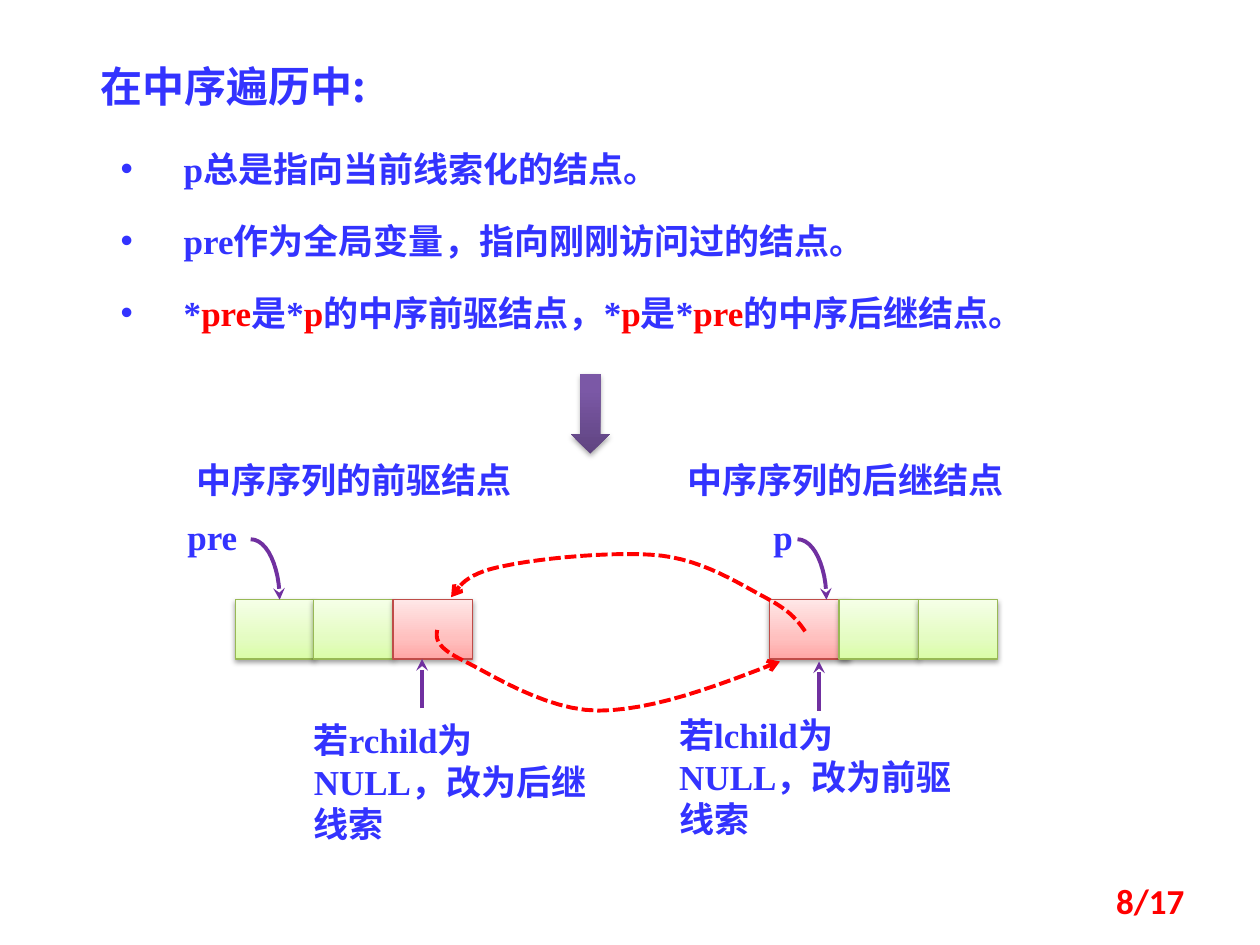
"""Build the slide on pre and p during in-order threading."""
import copy

import pptx
import pptx.dml.color
import pptx.enum.dml
import pptx.enum.shapes
import pptx.enum.text
import pptx.oxml
import pptx.oxml.ns
import pptx.util

Inches = pptx.util.Inches
Pt = pptx.util.Pt
ALIGN = pptx.enum.text.PP_ALIGN
ANCHOR = pptx.enum.text.MSO_ANCHOR
SHAPE = pptx.enum.shapes.MSO_SHAPE
NAMESPACE = pptx.oxml.ns.nsdecls("a")
CJK_FONT = "Noto Sans CJK SC"

COLORS = {"blue": "3333FF", "red": "FF0000", "purple": "7030A0",
          "green_line": "98B955", "pink_line": "BF4C48"}
GRADIENTS = {
    "green": [(0, "DAFDA7"), (0.35, "E4FCC2"), (1, "F5FFE7")],
    "pink": [(0, "FFA6A5"), (0.35, "FFC0BF"), (1, "FFE7E7")],
    "purple": [(0, "5F4480"), (0.8, "7B58A6"), (1, "7C57A8")],
}

TITLE = "在中序遍历中:"
BULLETS = [
    [("p总是指向当前线索化的结点。", "blue")],
    [("pre作为全局变量，指向刚刚访问过的结点。", "blue")],
    [("*", "blue"), ("pre", "red"), ("是*", "blue"), ("p", "red"),
     ("的中序前驱结点，*", "blue"), ("p", "red"), ("是*", "blue"),
     ("pre", "red"), ("的中序后继结点。", "blue")],
]
NODES = [
    {"heading": "中序序列的前驱结点", "heading_left": 1.46,
     "cells": [(1.87, "green"), (2.49, "green"), (3.12, "pink")],
     "pointer": "pre", "pointer_left": 1.33, "curve_left": 1.99,
     "note": "若rchild为NULL，改为后继线索", "note_box": (2.49, 5.7, 2.28, 0.67),
     "arrow": (3.35, 5.62, 5.23)},
    {"heading": "中序序列的后继结点", "heading_left": 5.36,
     "cells": [(6.11, "pink"), (6.66, "green"), (7.29, "green")],
     "pointer": "p", "pointer_left": 5.86, "curve_left": 6.33,
     "note": "若lchild为NULL，改为前驱线索", "note_box": (5.39, 5.66, 2.18, 0.67),
     "arrow": (6.5, 5.64, 5.25)},
]
THREADS = [
    [(3.47, 5), (3.46, 5.06), (3.45, 5.13), (3.67, 5.24), (3.88, 5.34),
     (4.33, 5.64), (4.75, 5.64), (5.17, 5.64), (5.68, 5.45), (6.19, 5.25)],
    [(6.39, 5.01), (6.32, 4.91), (6.26, 4.84), (6.07, 4.74), (5.88, 4.64),
     (5.59, 4.45), (5.25, 4.41), (4.91, 4.37), (4.29, 4.43), (4.01, 4.49),
     (3.74, 4.54), (3.66, 4.62), (3.58, 4.74)],
]


def rgb(value):
    return pptx.dml.color.RGBColor.from_string(value)


def add_text(slide, text, box, shape=None, size=20, font="Times New Roman", color="blue",
             align=ALIGN.LEFT, anchor=ANCHOR.TOP, inset=(0.1, 0.05), line_spacing=None, bullet=False):
    left, top, width, height = map(Inches, box)
    if shape is None:
        shape = slide.shapes.add_textbox(left, top, width, height)
    shape.left, shape.top, shape.width, shape.height = left, top, width, height
    frame = shape.text_frame
    frame.word_wrap = True
    frame.auto_size = pptx.enum.text.MSO_AUTO_SIZE.NONE
    frame.vertical_anchor = anchor
    frame.margin_left = frame.margin_right = Inches(inset[0])
    frame.margin_top = frame.margin_bottom = Inches(inset[1])
    paragraphs = [[(text, color)]] if isinstance(text, str) else text
    for index, runs in enumerate(paragraphs):
        paragraph = frame.add_paragraph() if index else frame.paragraphs[0]
        paragraph.alignment = align
        paragraph.line_spacing = line_spacing
        paragraph.space_before = Pt(size / 2 if index else 0)
        if bullet:
            properties = paragraph._p.get_or_add_pPr()
            properties.set("marL", str(Inches(0.5)))
            properties.set("indent", str(-Inches(0.5)))
            properties.append(pptx.oxml.parse_xml(f'<a:buFont {NAMESPACE} typeface="Arial"/>'))
            properties.append(pptx.oxml.parse_xml(f'<a:buChar {NAMESPACE} char="•"/>'))
        for content, run_color in runs:
            run = paragraph.add_run()
            run.text = content
            run.font.size = Pt(size)
            run.font.bold = True
            run.font.color.rgb = rgb(COLORS[run_color])
            run.font.name = font
            run.font._element.append(
                pptx.oxml.parse_xml(f'<a:ea {NAMESPACE} typeface="{CJK_FONT}"/>'))


def add_gradient_shape(slide, kind, box, gradient, line=None, shadow_alpha=38):
    shape = slide.shapes.add_shape(kind, *map(Inches, box))
    shape.fill.gradient()
    stops = shape.fill._xPr.find(pptx.oxml.ns.qn("a:gradFill")).gsLst
    stops.insert(1, copy.deepcopy(stops[0]))
    for stop, (position, color) in zip(shape.fill.gradient_stops, GRADIENTS[gradient]):
        stop.position = position
        stop.color.rgb = rgb(color)
    shape.fill.gradient_angle = 90
    if line:
        shape.line.color.rgb = rgb(COLORS[line])
        shape.line.width = Pt(0.75)
    else:
        shape.line.fill.background()
    shape.shadow.inherit = False
    effects = shape._element.spPr.find(pptx.oxml.ns.qn("a:effectLst"))
    effects.append(pptx.oxml.parse_xml(
        f'<a:outerShdw {NAMESPACE} blurRad="{Pt(3.1)}" dist="{Pt(1.6)}" dir="5400000" rotWithShape="0">'
        f'<a:srgbClr val="000000"><a:alpha val="{shadow_alpha * 1000}"/></a:srgbClr></a:outerShdw>'))


def style_arrow(shape, color, head, dash=None):
    shape.line.color.rgb = rgb(COLORS[color])
    shape.line.width = Pt(2.25)
    if dash:
        shape.line.dash_style = dash
    shape.line._get_or_add_ln().append(
        pptx.oxml.parse_xml(f'<a:tailEnd {NAMESPACE} type="{head}"/>'))


def bezier_points(controls, steps=12):
    for start in range(0, len(controls) - 1, 3):
        segment = controls[start:start + 4]
        for step in range(1, steps + 1):
            t = step / steps
            weights = ((1 - t) ** 3, 3 * t * (1 - t) ** 2, 3 * t * t * (1 - t), t ** 3)
            yield tuple(Inches(sum(w * point[axis] for w, point in zip(weights, segment)))
                        for axis in (0, 1))


def add_curve(slide, controls, color, head, dash=None):
    builder = slide.shapes.build_freeform(*map(Inches, controls[0]))
    builder.add_line_segments(list(bezier_points(controls)), close=False)
    shape = builder.convert_to_shape()
    shape.fill.background()
    shape.shadow.inherit = False
    style_arrow(shape, color, head, dash)


def add_node(slide, node):
    add_text(slide, node["heading"], (node["heading_left"], 3.59, 2.99, 0.43))
    for left, color in node["cells"]:
        add_gradient_shape(slide, SHAPE.RECTANGLE, (left, 4.76, 0.63, 0.47), color, f"{color}_line")
    x = node["curve_left"]
    add_curve(slide, [(x, 4.28), (x + 0.13, 4.28), (x + 0.23, 4.5), (x + 0.23, 4.76)],
              "purple", "stealth")
    add_text(slide, node["pointer"], (node["pointer_left"], 4.09, 0.71, 0.33),
             align=ALIGN.CENTER, inset=(0, 0))
    x, start, end = map(Inches, node["arrow"])
    connector = slide.shapes.add_connector(
        pptx.enum.shapes.MSO_CONNECTOR.STRAIGHT, x, start, x, end)
    connector._element.spPr.append(pptx.oxml.parse_xml(f"<a:effectLst {NAMESPACE}/>"))
    style_arrow(connector, "purple", "stealth")
    add_text(slide, node["note"], node["note_box"], inset=(0, 0))


def main():
    presentation = pptx.Presentation()
    presentation.slide_width, presentation.slide_height = Inches(10), Inches(7.5)
    slide = presentation.slides.add_slide(presentation.slide_layouts[5])
    add_text(slide, TITLE, (0.7, 0.31, 3.98, 0.63), shape=slide.shapes.title, size=24,
             font=CJK_FONT, align=ALIGN.JUSTIFY, line_spacing=1.3)
    add_text(slide, BULLETS, (0.86, 1.02, 8.28, 1.75), align=ALIGN.JUSTIFY,
             line_spacing=1.3, bullet=True)
    for node in NODES:
        add_node(slide, node)
    for thread in THREADS:
        add_curve(slide, thread, "red", "arrow", pptx.enum.dml.MSO_LINE.SQUARE_DOT)
    add_gradient_shape(slide, SHAPE.DOWN_ARROW, (4.53, 2.97, 0.31, 0.63), "purple", shadow_alpha=35)
    add_text(slide, "8/17", (7.17, 6.95, 2.33, 0.4), font="Calibri", color="red",
             align=ALIGN.RIGHT, anchor=ANCHOR.MIDDLE)
    presentation.save("out.pptx")


if __name__ == "__main__":
    main()
